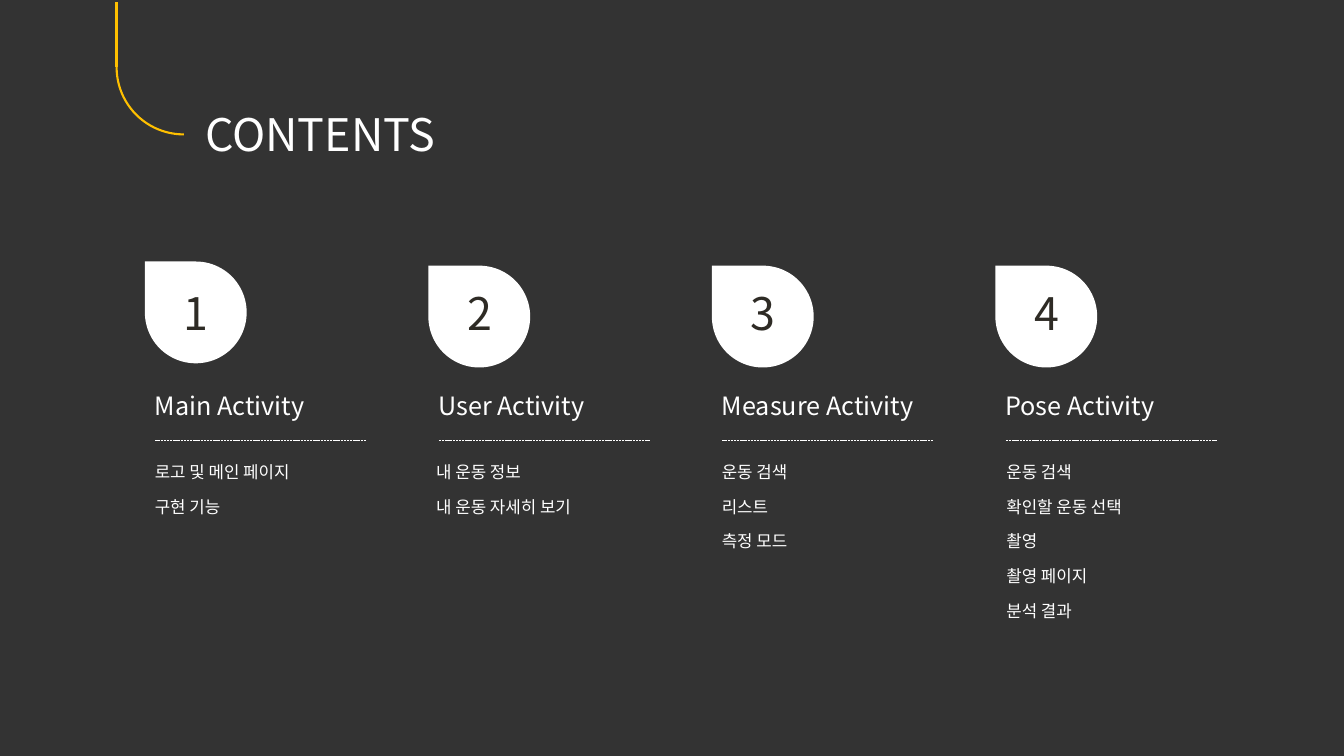
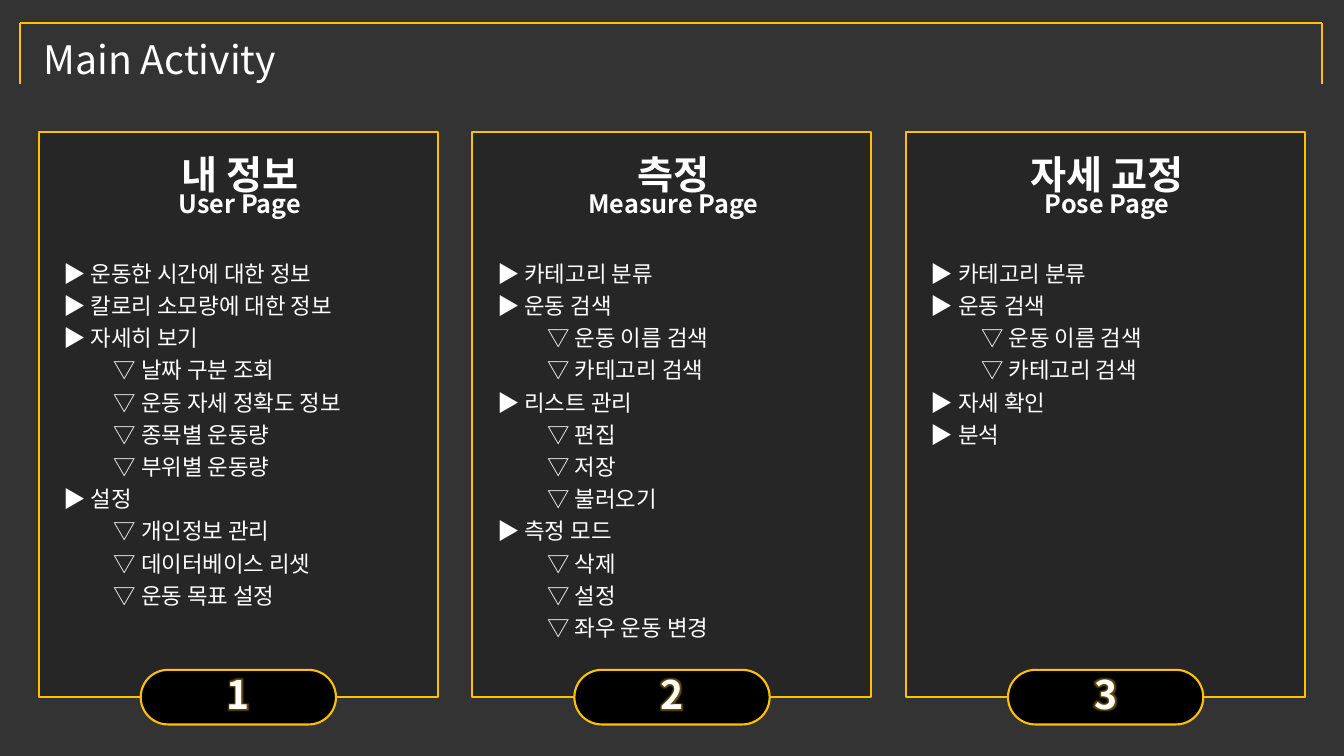
import pptx
import pptx.util
import pptx.dml.color
import pptx.enum.dml
import pptx.enum.shapes
import pptx.enum.text
import pptx.oxml
import pptx.oxml.ns
import pptx.oxml.xmlchemy

RGB = pptx.dml.color.RGBColor
SHAPE = pptx.enum.shapes.MSO_SHAPE
ALIGN = pptx.enum.text.PP_ALIGN
ANCHOR = pptx.enum.text.MSO_ANCHOR
DASH = pptx.enum.dml.MSO_LINE
Pt = pptx.util.Pt
qn = pptx.oxml.ns.qn
make = pptx.oxml.xmlchemy.OxmlElement

# Shared look
PX = 9525
WIDE, HIGH = 1280, 720
FONT = "Noto Sans CJK KR"
DARK = RGB(0x33, 0x33, 0x33)
PANEL = RGB(0x26, 0x26, 0x26)
BLACK = RGB(0, 0, 0)
WHITE = RGB(0xFF, 0xFF, 0xFF)
GOLD = RGB(0xFF, 0xC0, 0x00)
INK = RGB(0x2E, 0x2B, 0x25)

# Title, list lines, drop shape top, list shift
TOPICS = [
    ("Main Activity", ["로고 및 메인 페이지", "구현 기능"], 249, 0),
    ("User Activity", ["내 운동 정보", "내 운동 자세히 보기"], 253, -2),
    ("Measure Activity", ["운동 검색", "리스트", "측정 모드"], 253, 0),
    ("Pose Activity",
     ["운동 검색", "확인할 운동 선택", "촬영", "촬영 페이지", "분석 결과"], 253, 1),
]

SEARCH = ["▶ 카테고리 분류", "▶ 운동 검색", "▽ 운동 이름 검색", "▽ 카테고리 검색"]
PAGES = [
    ("내 정보", "User Page",
     ["▶ 운동한 시간에 대한 정보", "▶ 칼로리 소모량에 대한 정보", "▶ 자세히 보기",
      "▽ 날짜 구분 조회", "▽ 운동 자세 정확도 정보", "▽ 종목별 운동량",
      "▽ 부위별 운동량", "▶ 설정", "▽ 개인정보 관리", "▽ 데이터베이스 리셋",
      "▽ 운동 목표 설정"]),
    ("측정", "Measure Page",
     SEARCH + ["▶ 리스트 관리", "▽ 편집", "▽ 저장", "▽ 불러오기",
               "▶ 측정 모드", "▽ 삭제", "▽ 설정", "▽ 좌우 운동 변경"]),
    ("자세 교정", "Pose Page", SEARCH + ["▶ 자세 확인", "▶ 분석"]),
]


def px(*nums):
    return [round(n * PX) for n in nums]


def style(para, size, color=WHITE, bold=False, align=ALIGN.LEFT):
    para.alignment = align
    for run in para.runs:
        font = run.font
        font.size, font.bold, font.name = Pt(size), bold, FONT
        font.color.rgb = color
        props = run._r.get_or_add_rPr()
        if props.find(qn("a:ea")) is None:
            east = make("a:ea")
            east.set("typeface", FONT)
            props.append(east)


def text(slide, box, words, size, color=WHITE, align=ALIGN.LEFT):
    frame = slide.shapes.add_textbox(*px(*box)).text_frame
    frame.word_wrap = True
    frame.text = words
    for para in frame.paragraphs:
        style(para, size, color, align=align)
    return frame


def shape(slide, kind, box, fill=None, edge=None):
    item = slide.shapes.add_shape(kind, *px(*box))
    item.shadow.inherit = False
    if fill is None:
        item.fill.background()
    else:
        item.fill.solid()
        item.fill.fore_color.rgb = fill
    if edge is None:
        item.line.fill.background()
    else:
        item.line.color.rgb = edge
        item.line.width = Pt(1.5)
    return item


def line(slide, ends, color=GOLD, width=1.5, dash=None):
    kind = pptx.enum.shapes.MSO_CONNECTOR.STRAIGHT
    item = slide.shapes.add_connector(kind, *px(*ends))
    item.line.color.rgb = color
    item.line.width = Pt(width)
    if dash is not None:
        item.line.dash_style = dash
    item._element.spPr.append(make("a:effectLst"))


def glow(run):
    effect = pptx.oxml.parse_xml(
        f'<a:effectLst {pptx.oxml.ns.nsdecls("a")}><a:glow rad="63500">'
        f'<a:srgbClr val="{GOLD}"><a:alpha val="40000"/></a:srgbClr>'
        '</a:glow></a:effectLst>')
    run._r.rPr.find(qn("a:solidFill")).addnext(effect)


def start(deck):
    slide = deck.slides.add_slide(deck.slide_layouts[6])
    slide.background.fill.solid()
    slide.background.fill.fore_color.rgb = DARK
    return slide


# Contents slide
def hook(slide, x, y, size):
    line(slide, (x, y + 2, x, y + size // 2))
    arc = shape(slide, SHAPE.ARC, (x, y, size, size), edge=GOLD)
    arc.rotation = 180


def topic(slide, x, y, num, data):
    title, items, top, shift = data
    drop = shape(slide, SHAPE.TEAR, (x, top, 97, 97), WHITE)
    drop.rotation = 270
    text(slide, (x + 10, y, 78, 61), str(num), 32, INK, ALIGN.CENTER)
    text(slide, (x, y + 100, 229, 38), title, 18)
    line(slide, (x + 10, y + 152, x + 211, y + 152), WHITE, 0.5,
         DASH.SQUARE_DOT)
    frame = text(slide, (x + shift, y + 168, 231, 33 * len(items)),
                 "\n".join(items), 12)
    for para in frame.paragraphs:
        para.space_after = Pt(10.4)


def contents(deck):
    slide = start(deck)
    hook(slide, 111, 0, 128)
    text(slide, (186, 97, 295, 61), "CONTENTS", 32)
    for i, data in enumerate(TOPICS):
        topic(slide, 138 + 270 * i, 267, i + 1, data)


# Activity slide
def header(slide, x, y, wide, high, title):
    right, low = x + wide, y + high
    for ends in ((x, y, x, low), (right, y, right, low), (x, y, right, y)):
        line(slide, ends)
    text(slide, (x + 13, y + 7, 355, 55), title, 28)


def badge(slide, box, num):
    pill = shape(slide, SHAPE.ROUNDED_RECTANGLE, box, BLACK, GOLD)
    pill.adjustments[0] = 0.5
    frame = pill.text_frame
    frame.vertical_anchor = ANCHOR.MIDDLE
    frame.text = str(num)
    para = frame.paragraphs[0]
    style(para, 28, bold=True, align=ALIGN.CENTER)
    para.line_spacing = 0.85
    glow(para.runs[0])


def page(slide, x, y, wide, high, num, data):
    title, name, items = data
    shape(slide, SHAPE.RECTANGLE, (x, y, wide, high), PANEL, GOLD)
    badge(slide, (x + 97, y + high - 26, 186, 52), num)
    frame = text(slide, (x + 14, y + 12, 355, 500),
                 "\n".join([title, name] + items), 16)
    head, sub, *rows = frame.paragraphs
    style(head, 28, bold=True, align=ALIGN.CENTER)
    style(sub, 18, bold=True, align=ALIGN.CENTER)
    sub.line_spacing = 0.7
    rows[0].space_before = Pt(26)
    for row in rows:
        row.line_spacing = 1.2
        if row.text.startswith("▽"):
            row.level = 1
            props = row._p.get_or_add_pPr()
            props.set("marL", str(48 * PX))
            props.set("indent", "0")


def activity(deck):
    slide = start(deck)
    header(slide, 19, 22, 1240, 58, "Main Activity")
    for i, data in enumerate(PAGES):
        page(slide, 37 + 413 * i, 126, 380, 538, i + 1, data)


def main():
    deck = pptx.Presentation()
    deck.slide_width, deck.slide_height = px(WIDE, HIGH)
    contents(deck)
    activity(deck)
    deck.save("out.pptx")


if __name__ == "__main__":
    main()
